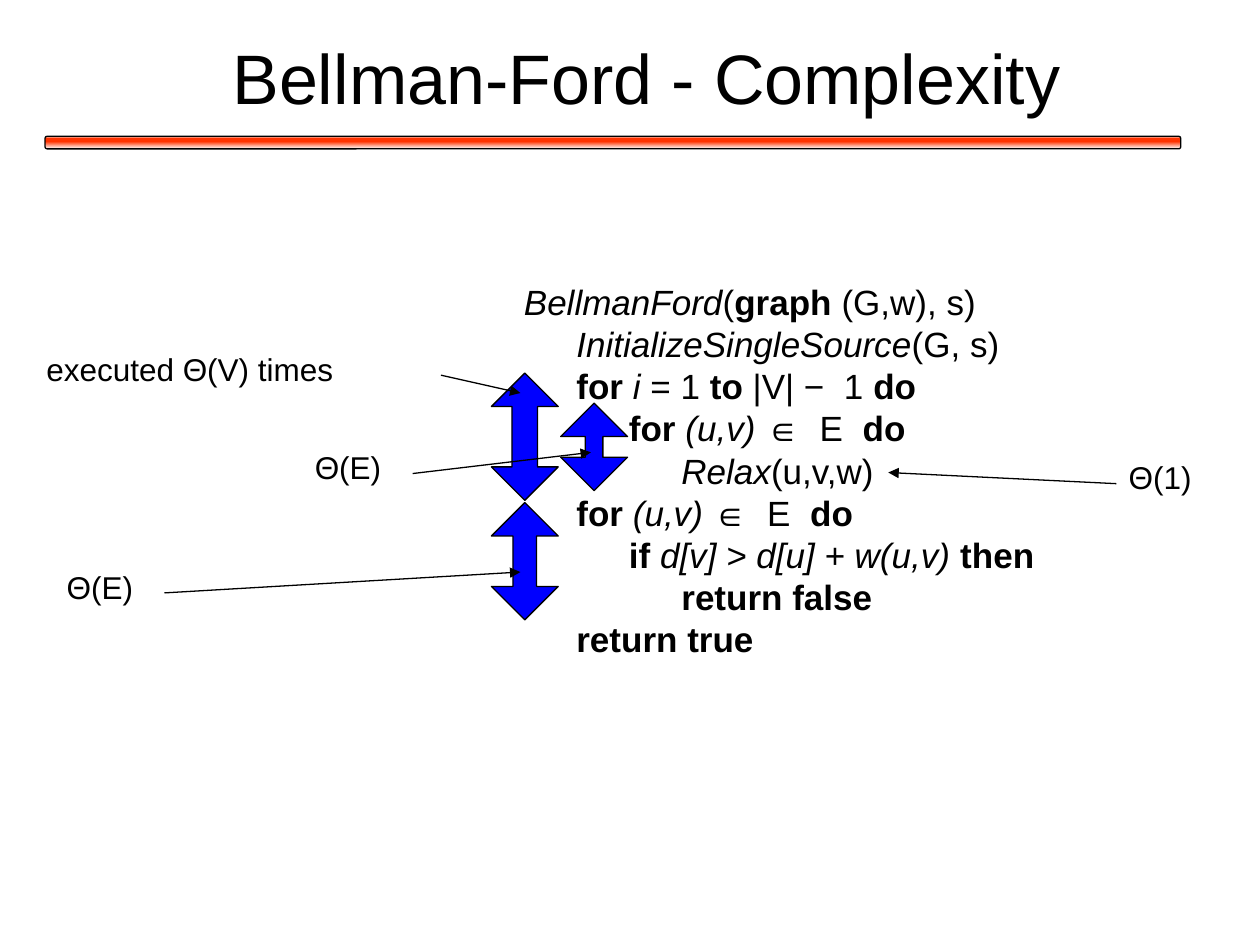
from copy import deepcopy

from lxml import etree
from pptx import Presentation
from pptx.dml.color import RGBColor
from pptx.enum import shapes, text
from pptx.oxml.ns import qn
from pptx.util import Pt

BLACK = RGBColor(0x00, 0x00, 0x00)
WHITE = RGBColor(0xFF, 0xFF, 0xFF)
RED = RGBColor(0xFF, 0x33, 0x00)
BLUE = RGBColor(0x00, 0x00, 0xFF)

INDENT = 30  # points per level of pseudocode
LINE_PITCH = 1.2  # line height as a multiple of the font size

prs = Presentation()
prs.slide_width, prs.slide_height = Pt(720), Pt(540)
slide = prs.slides.add_slide(prs.slide_layouts[6])


def add_text_box(left, top, width, height):
    box = slide.shapes.add_textbox(Pt(left), Pt(top), Pt(width), Pt(height))
    box.text_frame.word_wrap = True
    return box


def style_paragraph(paragraph, size):
    paragraph.font.name = "Arial"
    paragraph.font.size = Pt(size)
    paragraph.font.color.rgb = BLACK
    paragraph.line_spacing = Pt(size * LINE_PITCH)


# Red bar under the title
bar = slide.shapes.add_shape(
    shapes.MSO_SHAPE.ROUNDED_RECTANGLE, Pt(25.75), Pt(77.9), Pt(649), Pt(7.2))
bar.shadow.inherit = False
bar.line.color.rgb = BLACK
bar.line.width = Pt(0.75)
bar.fill.gradient()
bar.fill.gradient_angle = 270
stop_list = bar.fill._fill._gradFill.find(qn("a:gsLst"))
for _ in range(2):
    stop_list.append(deepcopy(stop_list[0]))
gradient = [(0, WHITE), (0.16, RED), (0.42, RED), (1, WHITE)]
for stop, (position, color) in zip(bar.fill.gradient_stops, gradient):
    stop.position = position
    stop.color.rgb = color

# Title
title = add_text_box(26.6, 7.9, 685.4, 71.3)
title.text_frame.vertical_anchor = text.MSO_ANCHOR.MIDDLE
heading = title.text_frame.paragraphs[0]
heading.text = "Bellman-Ford - Complexity"
heading.alignment = text.PP_ALIGN.CENTER
style_paragraph(heading, 40)

# Pseudocode: indent level, then runs of (text, style)
code_lines = [
    (0, [("BellmanFord", "i"), ("(", ""), ("graph ", "b"), ("(G,w), s)", "")]),
    (1, [("InitializeSingleSource", "i"), ("(G, s)", "")]),
    (1, [("for ", "b"), ("i ", "i"), ("= 1 ", ""), ("to ", "b"),
         ("|V| −  1 ", ""), ("do", "b")]),
    (2, [("for ", "b"), ("(u,v) ", "i"), ("∈  E  ", ""), ("do", "b")]),
    (3, [("Relax", "i"), ("(u,v,w)", "")]),
    (1, [("for ", "b"), ("(u,v) ", "i"), ("∈  E  ", ""), ("do", "b")]),
    (2, [("if ", "b"), ("d[v] > d[u] + w(u,v) ", "i"), ("then", "b")]),
    (3, [("return false", "b")]),
    (1, [("return true", "b")]),
]
code = add_text_box(292.3, 157, 307.5, 225.4)
code.fill.solid()
code.fill.fore_color.rgb = WHITE
code.text_frame.margin_right = 0
for number, (level, runs) in enumerate(code_lines):
    frame = code.text_frame
    line = frame.add_paragraph() if number else frame.paragraphs[0]
    style_paragraph(line, 20)
    line._p.get_or_add_pPr().set("marL", str(Pt(level * INDENT)))
    for words, style in runs:
        run = line.add_run()
        run.text = words
        run.font.bold = style == "b"
        run.font.italic = style == "i"

# Double arrows spanning the loops: left, top, height, head proportion
loop_spans = [
    (280.8, 287.2, 67, 0.352),   # checking loop
    (280.8, 213.2, 72.7, 0.382),  # outer loop
    (320.4, 230.4, 50, 0.263),   # inner loop
]
for left, top, height, head in loop_spans:
    span = slide.shapes.add_shape(
        shapes.MSO_SHAPE.UP_DOWN_ARROW, Pt(left), Pt(top), Pt(38.2), Pt(height))
    span.adjustments[0], span.adjustments[1] = 0.5, head
    span.shadow.inherit = False
    span.fill.solid()
    span.fill.fore_color.rgb = BLUE
    span.line.color.rgb = BLACK
    span.line.width = Pt(0.75)

# Cost labels: text, left, top, width, side the pointer leaves, pointer target
LEFT_SIDE, RIGHT_SIDE = 1, 3
costs = [
    ("executed Θ(V) times", 19.4, 196.4, 232.6, RIGHT_SIDE, (297.4, 224.6)),
    ("Θ(E)", 172.8, 252.6, 63, RIGHT_SIDE, (337.7, 258.5)),
    ("Θ(E)", 31, 320.8, 63, RIGHT_SIDE, (297.4, 326.9)),
    ("Θ(1)", 637.9, 258.4, 62, LEFT_SIDE, (507.6, 270)),
]
for cost, left, top, width, side, (target_x, target_y) in costs:
    label = add_text_box(left, top, width, 36)
    label.text_frame.text = cost
    style_paragraph(label.text_frame.paragraphs[0], 18)

    pointer = slide.shapes.add_connector(
        shapes.MSO_CONNECTOR.STRAIGHT, Pt(left), Pt(top), Pt(target_x), Pt(target_y))
    pointer.begin_connect(label, side)
    pointer.line.color.rgb = BLACK
    pointer.line.width = Pt(0.75)
    etree.SubElement(pointer.line._get_or_add_ln(), qn("a:tailEnd"), type="triangle")
    etree.SubElement(pointer._element.spPr, qn("a:effectLst"))

prs.save("out.pptx")
